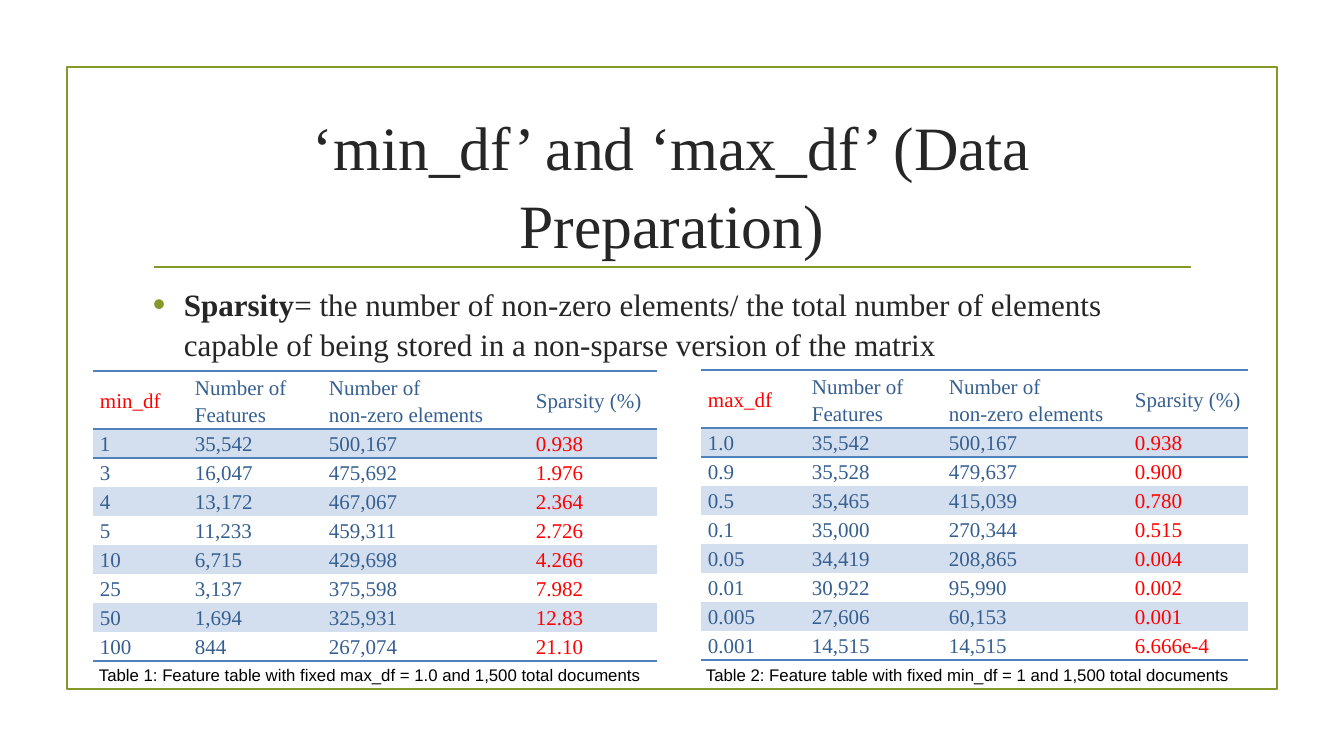
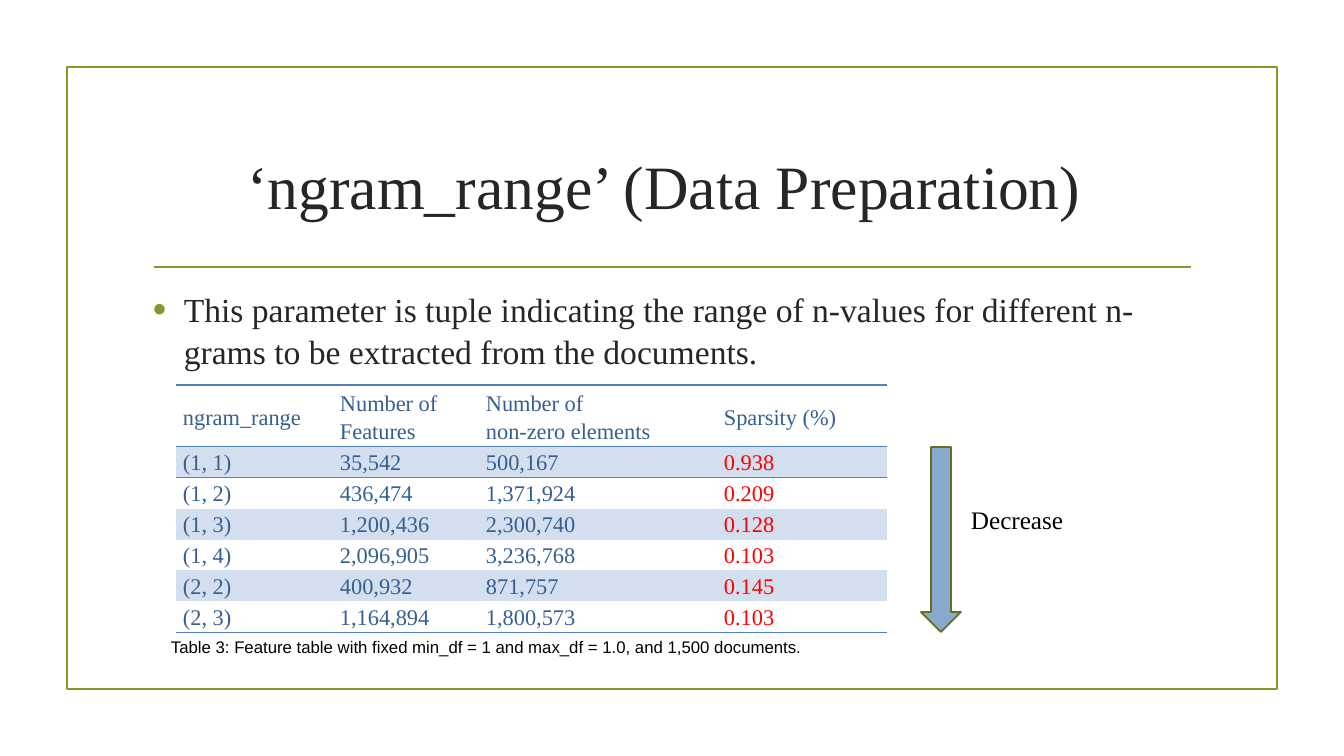
from lxml import etree
from pptx import Presentation
from pptx import util as u
from pptx.dml.color import RGBColor
from pptx.enum import shapes, text
from pptx.oxml.ns import qn

PX = 914400 / 100.8
SERIF, SANS = "Times New Roman", "Arial"
GREEN, DARK, BLACK, WHITE = "83992A", "262626", "000000", "FFFFFF"
NAVY, RED, BAND, RULE = "365F91", "FF0000", "D3DFEE", "4F81BD"
NO_STYLE = "{2D5ABB26-0587-4C30-8999-92F81FD0307C}"


def px(*lengths):
    return [u.Emu(round(length * PX)) for length in lengths]


def colour(value):
    return RGBColor.from_string(value)


def set_font(para, size, value, name=SERIF):
    font = para.font
    font.size, font.name = u.Pt(size), name
    font.color.rgb = colour(value)


def set_line(shape, value):
    shape.line.color.rgb = colour(value)
    shape.line.width = u.Pt(1.25)


def add_bullet(para):
    """Give the paragraph a hanging green bullet."""
    props = para._p.get_or_add_pPr()
    indent = px(31)[0]
    props.set("marL", str(indent))
    props.set("indent", str(-indent))
    bullet_colour = etree.SubElement(props, qn("a:buClr"))
    etree.SubElement(bullet_colour, qn("a:srgbClr"), val=GREEN)
    etree.SubElement(props, qn("a:buSzPct"), val="115000")
    etree.SubElement(props, qn("a:buFont"), typeface=SANS)
    etree.SubElement(props, qn("a:buChar"), char="•")


def add_borders(cell, edges):
    """Draw the named cell edges; they must come before the fill in the XML."""
    props = cell._tc.get_or_add_tcPr()
    for index, edge in enumerate(edges):
        border = etree.Element(qn(f"a:{edge}"), w=str(u.Pt(1)))
        fill = etree.SubElement(border, qn("a:solidFill"))
        etree.SubElement(fill, qn("a:srgbClr"), val=RULE)
        props.insert(index, border)


class Deck:
    def __init__(self):
        self.deck = Presentation()
        self.deck.slide_width, self.deck.slide_height = px(1344, 756)
        self.page = None

    def add_page(self, title):
        """Start a slide with the shared frame, rule and title."""
        self.page = self.deck.slides.add_slide(self.deck.slide_layouts[5])
        self.shape(shapes.MSO_SHAPE.RECTANGLE, (67, 67, 1210, 622), GREEN)
        rule = self.page.shapes.add_connector(
            shapes.MSO_CONNECTOR.STRAIGHT, *px(154, 267, 1191, 267))
        set_line(rule, GREEN)
        etree.SubElement(rule._element.spPr, qn("a:effectLst"))

        box = self.page.shapes.title
        box.left, box.top, box.width, box.height = px(143, 111, 1058, 144)
        frame = box.text_frame
        frame.text = title
        frame.word_wrap = True
        frame.auto_size = text.MSO_AUTO_SIZE.NONE
        frame.vertical_anchor = text.MSO_ANCHOR.MIDDLE
        para = frame.paragraphs[0]
        para.alignment = text.PP_ALIGN.CENTER
        para.line_spacing = 1.05
        set_font(para, 44, DARK)

    def shape(self, kind, place, line, fill=None):
        shape = self.page.shapes.add_shape(kind, *px(*place))
        shape.shadow.inherit = False
        set_line(shape, line)
        if fill:
            shape.fill.solid()
            shape.fill.fore_color.rgb = colour(fill)
        else:
            shape.fill.background()

    def text_box(self, place):
        """Add a wrapping text box and return its first paragraph."""
        frame = self.page.shapes.add_textbox(*px(*place)).text_frame
        frame.word_wrap = True
        return frame.paragraphs[0]

    def bullet(self, place, words, size, lead=""):
        """Add a bulleted paragraph with an optional bold lead."""
        para = self.text_box(place)
        add_bullet(para)
        para.line_spacing = 1.05
        set_font(para, size, DARK)
        if lead:
            span = para.add_run()
            span.text = lead
            span.font.bold = True
        para.add_run().text = words

    def label(self, place, words, size, name):
        para = self.text_box(place)
        para.text = words
        set_font(para, size, BLACK, name)

    def caption(self, left, top, words):
        self.label((left, top, 680 if left < 600 else 580, 30), words, 12, SANS)

    def table(self, left, top, widths, heights, size, key, key_colour, rows):
        """Add a banded table; heights are those of the header and body rows."""
        header = [key, "Number of\nFeatures", "Number of\nnon-zero elements",
                  "Sparsity (%)"]
        rows = [header, *rows]
        height = heights[0] + heights[1] * (len(rows) - 1)
        holder = self.page.shapes.add_table(
            len(rows), len(widths), *px(left, top, sum(widths), height))
        next(holder._element.iter(qn("a:tableStyleId"))).text = NO_STYLE
        table = holder.table
        table.first_row = table.horz_banding = False
        for column, width in zip(table.columns, px(*widths)):
            column.width = width
        for r, values in enumerate(rows):
            table.rows[r].height = px(heights[min(r, 1)])[0]
            edges = ["lnT"] * (r < 2) + ["lnB"] * (r in (0, len(rows) - 1))
            for c, value in enumerate(values):
                value_colour = NAVY
                if r == 0 and c == 0:
                    value_colour = key_colour
                elif r > 0 and c == len(values) - 1:
                    value_colour = RED
                cell = table.cell(r, c)
                self.fill_cell(cell, value, size, value_colour,
                               BAND if r % 2 else WHITE)
                if r == 0:
                    cell.vertical_anchor = text.MSO_ANCHOR.MIDDLE
                add_borders(cell, edges)

    def fill_cell(self, cell, value, size, value_colour, fill):
        cell.text = value
        cell.margin_left, cell.margin_right = px(7, 7)
        cell.margin_top = cell.margin_bottom = 0
        cell.fill.solid()
        cell.fill.fore_color.rgb = colour(fill)
        for para in cell.text_frame.paragraphs:
            para.line_spacing = 1.15
            set_font(para, size, value_colour)


MIN_DF = [
    ("1", "35,542", "500,167", "0.938"),
    ("3", "16,047", "475,692", "1.976"),
    ("4", "13,172", "467,067", "2.364"),
    ("5", "11,233", "459,311", "2.726"),
    ("10", "6,715", "429,698", "4.266"),
    ("25", "3,137", "375,598", "7.982"),
    ("50", "1,694", "325,931", "12.83"),
    ("100", "844", "267,074", "21.10"),
]
MAX_DF = [
    ("1.0", "35,542", "500,167", "0.938"),
    ("0.9", "35,528", "479,637", "0.900"),
    ("0.5", "35,465", "415,039", "0.780"),
    ("0.1", "35,000", "270,344", "0.515"),
    ("0.05", "34,419", "208,865", "0.004"),
    ("0.01", "30,922", "95,990", "0.002"),
    ("0.005", "27,606", "60,153", "0.001"),
    ("0.001", "14,515", "14,515", "6.666e-4"),
]
NGRAM_RANGE = [
    ("(1, 1)", "35,542", "500,167", "0.938"),
    ("(1, 2)", "436,474", "1,371,924", "0.209"),
    ("(1, 3)", "1,200,436", "2,300,740", "0.128"),
    ("(1, 4)", "2,096,905", "3,236,768", "0.103"),
    ("(2, 2)", "400,932", "871,757", "0.145"),
    ("(2, 3)", "1,164,894", "1,800,573", "0.103"),
]


def main():
    deck = Deck()

    deck.add_page("‘min_df’ and ‘max_df’ (Data Preparation)")
    deck.bullet((143, 279, 1058, 83),
                "= the number of non-zero elements/ the total number of elements "
                "capable of being stored in a non-sparse version of the matrix",
                22.2, lead="Sparsity")
    deck.table(93, 371, (95, 134, 207, 128), (53, 26), 15, "min_df", RED, MIN_DF)
    deck.table(701, 370, (104, 137, 186, 120), (53, 26), 15, "max_df", RED, MAX_DF)
    deck.caption(89, 660, "Table 1: Feature table with fixed max_df = 1.0 "
                          "and 1,500 total documents")
    deck.caption(696, 660, "Table 2: Feature table with fixed min_df = 1 "
                           "and 1,500 total documents")

    deck.add_page("‘ngram_range’ (Data Preparation) ")
    deck.bullet((143, 282, 1058, 90),
                "This parameter is tuple indicating the range of n-values for "
                "different n-grams to be extracted from the documents.", 24)
    deck.table(176, 385, (157, 146, 238, 170), (57, 28), 16,
               "ngram_range", NAVY, NGRAM_RANGE)
    deck.caption(161, 632, "Table 3: Feature table with fixed min_df = 1 "
                           "and max_df = 1.0, and 1,500 documents.")
    deck.shape(shapes.MSO_SHAPE.DOWN_ARROW, (921, 447, 40, 185), "61711F", "88A9CB")
    deck.label((961, 499, 128, 40), "Decrease", 18, SERIF)

    deck.deck.save("out.pptx")


if __name__ == "__main__":
    main()
